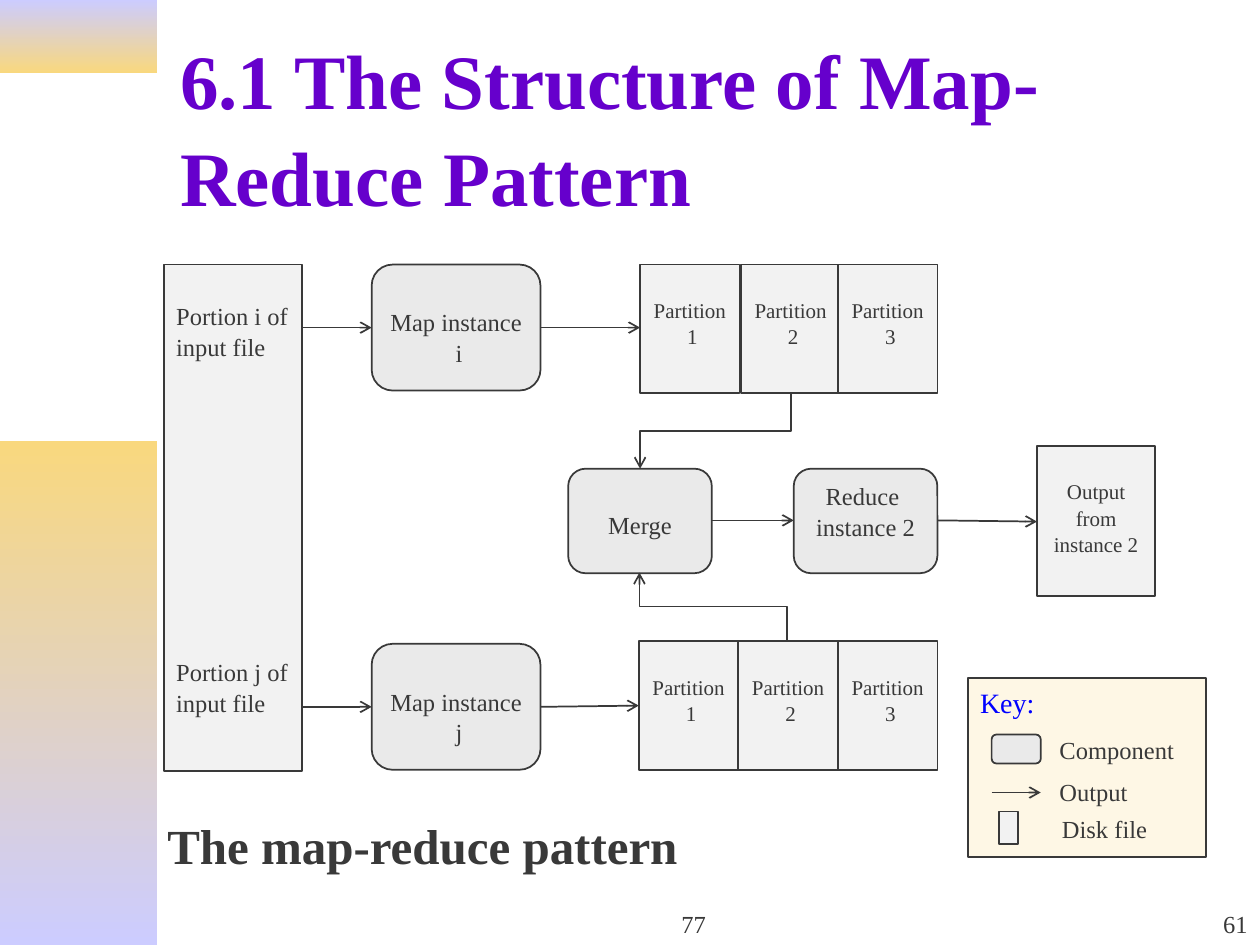
from lxml import etree
from pptx import Presentation
from pptx import util as u
from pptx.dml import color
from pptx.enum import shapes, text
from pptx.oxml import ns

COLORS = {"title": "6600CC", "ink": "393939", "file": "F2F2F2", "component": "EAEAEA",
          "key": "FEF7E5", "key_title": "0000FF", "lilac": "CCCCFF", "gold": "F9D87E"}
FONT = "Times New Roman"
LEFT, CENTER, RIGHT = text.PP_ALIGN.LEFT, text.PP_ALIGN.CENTER, text.PP_ALIGN.RIGHT
RECT, ROUND = shapes.MSO_SHAPE.RECTANGLE, shapes.MSO_SHAPE.ROUNDED_RECTANGLE
STRAIGHT, ELBOW = shapes.MSO_CONNECTOR.STRAIGHT, shapes.MSO_CONNECTOR.ELBOW
TOP, MIDDLE, BOTTOM = text.MSO_ANCHOR.TOP, text.MSO_ANCHOR.MIDDLE, text.MSO_ANCHOR.BOTTOM

deck = Presentation()
deck.slide_width, deck.slide_height = u.Inches(10), u.Inches(7.5)
page = deck.slides.add_slide(deck.slide_layouts[5])


def write(box, words, size, align=CENTER, inset=0.05, anchor=TOP, ink="ink", bold=False):
    frame = box.text_frame
    frame.text = words
    frame.word_wrap = True
    frame.auto_size = text.MSO_AUTO_SIZE.NONE
    frame.vertical_anchor = anchor
    frame.margin_left = u.Inches(0.1 if align == LEFT else 0)
    frame.margin_right = u.Inches(0.1 if align == RIGHT else 0)
    frame.margin_top, frame.margin_bottom = u.Inches(inset), u.Inches(0.05)
    for para in frame.paragraphs:
        para.alignment = align
        para.line_spacing = 1.05
        for span in para.runs:
            span.font.name, span.font.size, span.font.bold = FONT, u.Pt(size), bold
            span.font.color.rgb = color.RGBColor.from_string(COLORS[ink])


def add_arrow(kind, x1, y1, x2, y2, turn=0):
    arrow = page.shapes.add_connector(kind, *map(u.Inches, (x1, y1, x2, y2)))
    arrow.line.color.rgb = color.RGBColor.from_string(COLORS["ink"])
    arrow.line.width = u.Pt(1)
    etree.SubElement(arrow.line._get_or_add_ln(), ns.qn("a:tailEnd"), type="arrow")
    etree.SubElement(arrow._element.spPr, ns.qn("a:effectLst"))
    if turn:
        arrow._element.spPr.find(ns.qn("a:xfrm")).set("rot", str(turn * 60000))


for top, height, first, last in [(0, 0.58, "lilac", "gold"), (3.5, 4, "gold", "lilac")]:
    band = page.shapes.add_shape(RECT, 0, u.Inches(top), u.Inches(1.25), u.Inches(height))
    band.shadow.inherit = False
    band.line.fill.background()
    band.fill.gradient()
    band.fill.gradient_angle = 270
    for stop, name in zip(band.fill.gradient_stops, (first, last)):
        stop.color.rgb = color.RGBColor.from_string(COLORS[name])

title = page.shapes.title
title.left, title.top, title.width, title.height = map(u.Inches, (1.33, 0.33, 8.5, 1.32))
write(title, "6.1 The Structure of Map-Reduce Pattern", 44, LEFT, anchor=MIDDLE, ink="title", bold=True)

partitions = [(left, top, 0.79, 1.02, RECT, "file", f"Partition\n {number}", 12, 0.25)
              for top, lefts in [(2.1, (5.08, 5.88, 6.65)), (5.09, (5.07, 5.86, 6.65))]
              for number, left in enumerate(lefts, 1)]
nodes = [
    (1.3, 2.1, 1.1, 4.02, RECT, "file", "Portion i of\ninput file\nPortion j of\ninput file", 14, 0.28),
    (2.95, 2.1, 1.34, 1, ROUND, "component", "Map instance\n i", 14, 0.28),
    (2.95, 5.11, 1.34, 1, ROUND, "component", "Map instance\n j", 14, 0.28),
    *partitions,
    (4.51, 3.72, 1.14, 0.83, ROUND, "component", "Merge", 14, 0.28),
    (6.3, 3.72, 1.14, 0.83, ROUND, "component", "Reduce \ninstance 2", 14, 0.05),
    (8.23, 3.54, 0.94, 1.19, RECT, "file", "Output\nfrom\ninstance 2", 12, 0.25),
    (7.68, 5.38, 1.89, 1.42, RECT, "key", "Key:", 16, 0.05),
    (7.87, 5.83, 0.39, 0.23, ROUND, "component", "", 14, 0.05),
    (7.93, 6.44, 0.15, 0.26, RECT, "file", "", 14, 0.05),
]
for left, top, width, height, outline, fill, words, size, inset in nodes:
    node = page.shapes.add_shape(outline, *map(u.Inches, (left, top, width, height)))
    node.shadow.inherit = False
    node.fill.solid()
    node.fill.fore_color.rgb = color.RGBColor.from_string(COLORS[fill])
    node.line.color.rgb = color.RGBColor.from_string(COLORS["ink"])
    node.line.width = u.Pt(1)
    if words:
        is_left = words.startswith(("Portion", "Key"))
        write(node, words, size, LEFT if is_left else CENTER, inset,
              ink="key_title" if fill == "key" else "ink")
    if words.startswith("Portion"):
        node.text_frame.paragraphs[2].space_before = u.Pt(168)

for ends in [(2.4, 2.6, 2.95, 2.6), (2.4, 5.61, 2.95, 5.61), (4.29, 2.6, 5.08, 2.6),
             (4.29, 5.61, 5.07, 5.6), (5.65, 4.13, 6.3, 4.13), (7.44, 4.13, 8.23, 4.14),
             (7.87, 6.29, 8.26, 6.29)]:
    add_arrow(STRAIGHT, *ends)
add_arrow(ELBOW, 5.38, 2.82, 5.98, 4.02, turn=90)
add_arrow(ELBOW, 5.39, 5.4, 5.93, 4.23, turn=270)

labels = [
    (8.31, 5.77, 1.11, 0.34, "Component", 14, LEFT, TOP),
    (8.31, 6.11, 0.74, 0.34, "Output", 14, LEFT, TOP),
    (8.33, 6.4, 0.87, 0.34, "Disk file", 14, LEFT, TOP),
    (1.23, 6.4, 4.25, 0.57, "The map-reduce pattern", 28, LEFT, TOP),
    (3.92, 7, 3.17, 0.5, "77", 14, CENTER, BOTTOM),
    (7.92, 7, 2.08, 0.5, "61", 14, RIGHT, BOTTOM),
]
for left, top, width, height, words, size, align, anchor in labels:
    label = page.shapes.add_textbox(*map(u.Inches, (left, top, width, height)))
    write(label, words, size, align, anchor=anchor, bold=size == 28)

deck.save("out.pptx")
